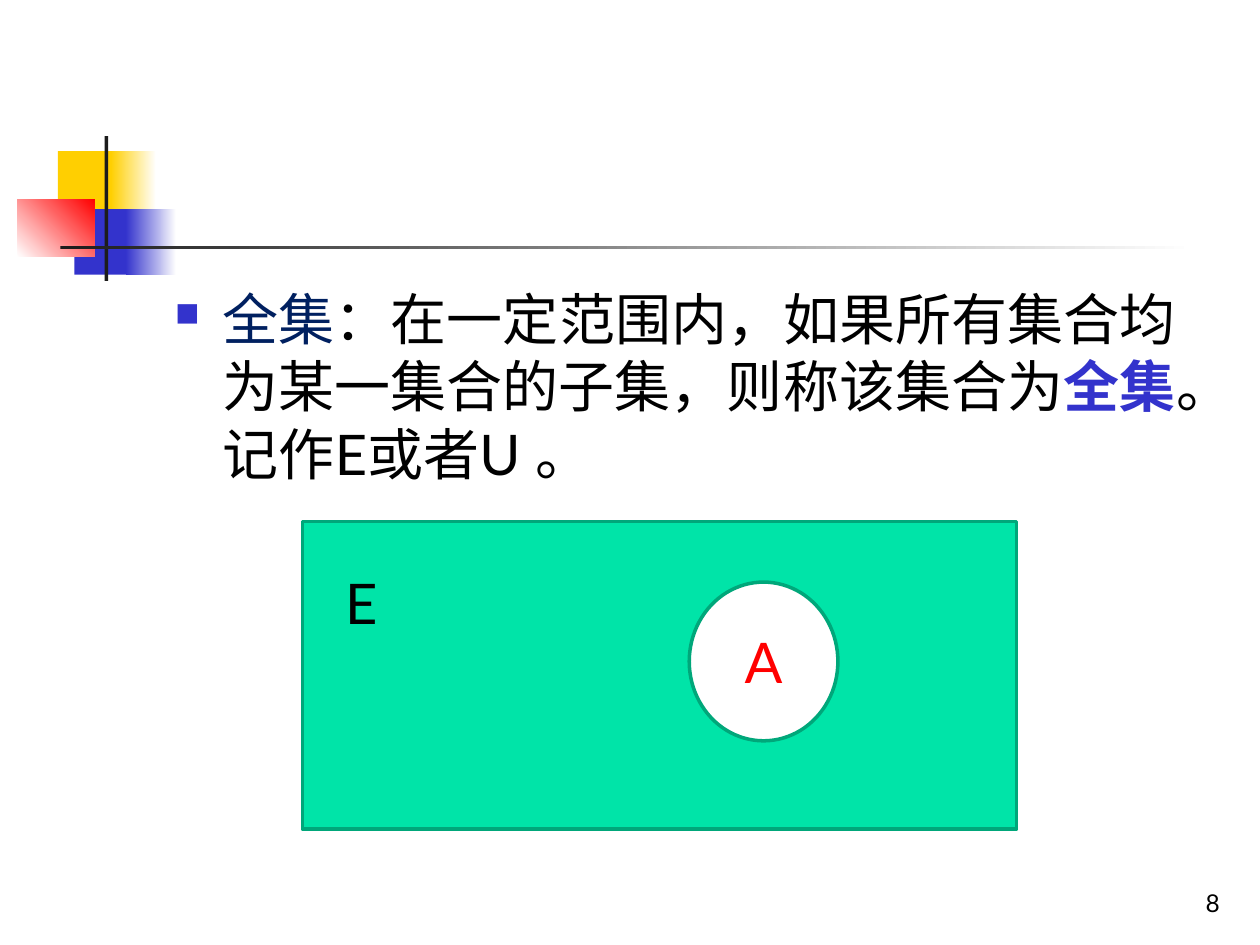
from dataclasses import dataclass
from typing import Optional

import pptx
import pptx.dml.color
import pptx.enum.shapes
import pptx.enum.text
import pptx.oxml.ns
import pptx.util
from lxml import etree

Inches = pptx.util.Inches
Pt = pptx.util.Pt
Kind = pptx.enum.shapes.MSO_SHAPE
Anchor = pptx.enum.text.MSO_ANCHOR
Align = pptx.enum.text.PP_ALIGN

FONT = "Lato"
BLACK = "000000"
WHITE = "FFFFFF"
YELLOW = "FFCF01"
BLUE = "3333CC"
RED = "FF0000"
CHARCOAL = "1C1C1C"
MINT = "00E4A8"
GREEN = "00A77A"
NAVY = "002060"


@dataclass
class Block:
    left: float
    top: float
    width: float
    height: float
    fill: str
    fade_to: Optional[str] = None
    angle: float = 0
    line: Optional[str] = None
    kind: Kind = Kind.RECTANGLE


@dataclass
class Run:
    text: str
    color: str = BLACK
    bold: bool = False


ORNAMENTS = [
    Block(0.46, 1.2, 0.48, 0.52, YELLOW),
    Block(0.88, 1.2, 0.36, 0.52, YELLOW, WHITE),
    Block(0.59, 1.66, 0.46, 0.52, BLUE),
    Block(1, 1.66, 0.4, 0.52, BLUE, WHITE),
    Block(0.14, 1.58, 0.61, 0.46, WHITE, RED, angle=45),
    Block(0.83, 1.08, 0.03, 1.15, CHARCOAL),
    Block(0.48, 1.95, 9, 0.03, CHARCOAL, WHITE),
]
UNIVERSE = Block(2.4, 4.14, 5.67, 2.44, MINT, line=GREEN)
SUBSET = Block(5.47, 4.62, 1.18, 1.26, WHITE, line=GREEN, kind=Kind.OVAL)

DEFINITION = [
    Run("全集", NAVY),
    Run("：在一定范围内，如果所有集合均为某一集合的子集，则称该集合为"),
    Run("全集", BLUE, True),
    Run("。记作E或者U 。"),
]


def color(value: str) -> pptx.dml.color.RGBColor:
    return pptx.dml.color.RGBColor.from_string(value)


def draw_block(slide, block: Block):
    shape = slide.shapes.add_shape(
        block.kind, Inches(block.left), Inches(block.top),
        Inches(block.width), Inches(block.height))
    shape.shadow.inherit = False
    if block.fade_to:
        shape.fill.gradient()
        shape.fill.gradient_angle = block.angle
        stops = shape.fill.gradient_stops
        for stop, position, value in zip(stops, (0, 1), (block.fill, block.fade_to)):
            stop.position = position
            stop.color.rgb = color(value)
    else:
        shape.fill.solid()
        shape.fill.fore_color.rgb = color(block.fill)
    if block.line:
        shape.line.color.rgb = color(block.line)
        shape.line.width = Pt(2)
    else:
        shape.line.fill.background()
    return shape


def add_bullet(paragraph, character: str, value: str, percent: int, indent: float) -> None:
    properties = paragraph._p.get_or_add_pPr()
    properties.set("marL", str(Inches(indent)))
    properties.set("indent", str(-Inches(indent)))
    qualified = pptx.oxml.ns.qn
    bullet_color = etree.SubElement(properties, qualified("a:buClr"))
    etree.SubElement(bullet_color, qualified("a:srgbClr"), val=value)
    etree.SubElement(properties, qualified("a:buSzPct"), val=str(percent * 1000))
    etree.SubElement(properties, qualified("a:buChar"), char=character)


def write_text(shape, runs: list[Run], *, size: float = 32, align=Align.LEFT,
               anchor=Anchor.TOP, wrap: bool = True, bullet: bool = False) -> None:
    frame = shape.text_frame
    frame.word_wrap = wrap
    frame.vertical_anchor = anchor
    paragraph = frame.paragraphs[0]
    paragraph.alignment = align
    if bullet:
        add_bullet(paragraph, "■", BLUE, 60, 0.38)
    for item in runs:
        run = paragraph.add_run()
        run.text = item.text
        run.font.name = FONT
        run.font.size = Pt(size)
        run.font.bold = item.bold
        run.font.color.rgb = color(item.color)


def add_text_box(slide, left: float, top: float, width: float, height: float):
    return slide.shapes.add_textbox(
        Inches(left), Inches(top), Inches(width), Inches(height))


def main() -> None:
    presentation = pptx.Presentation()
    presentation.slide_width = Inches(10)
    presentation.slide_height = Inches(7.5)
    slide = presentation.slides.add_slide(presentation.slide_layouts[6])

    for ornament in ORNAMENTS:
        draw_block(slide, ornament)

    page_number = add_text_box(slide, 7.7, 6.83, 2.08, 0.5)
    write_text(page_number, [Run("8")], size=14, align=Align.RIGHT, anchor=Anchor.BOTTOM)

    definition = add_text_box(slide, 1.29, 2.21, 8.5, 4.5)
    write_text(definition, DEFINITION, bullet=True)

    draw_block(slide, UNIVERSE)
    universe_label = add_text_box(slide, 2.64, 4.46, 0.44, 0.64)
    write_text(universe_label, [Run("E")], wrap=False)

    subset = draw_block(slide, SUBSET)
    write_text(subset, [Run("A", RED)], align=Align.CENTER, anchor=Anchor.MIDDLE)

    presentation.save("out.pptx")


if __name__ == "__main__":
    main()
